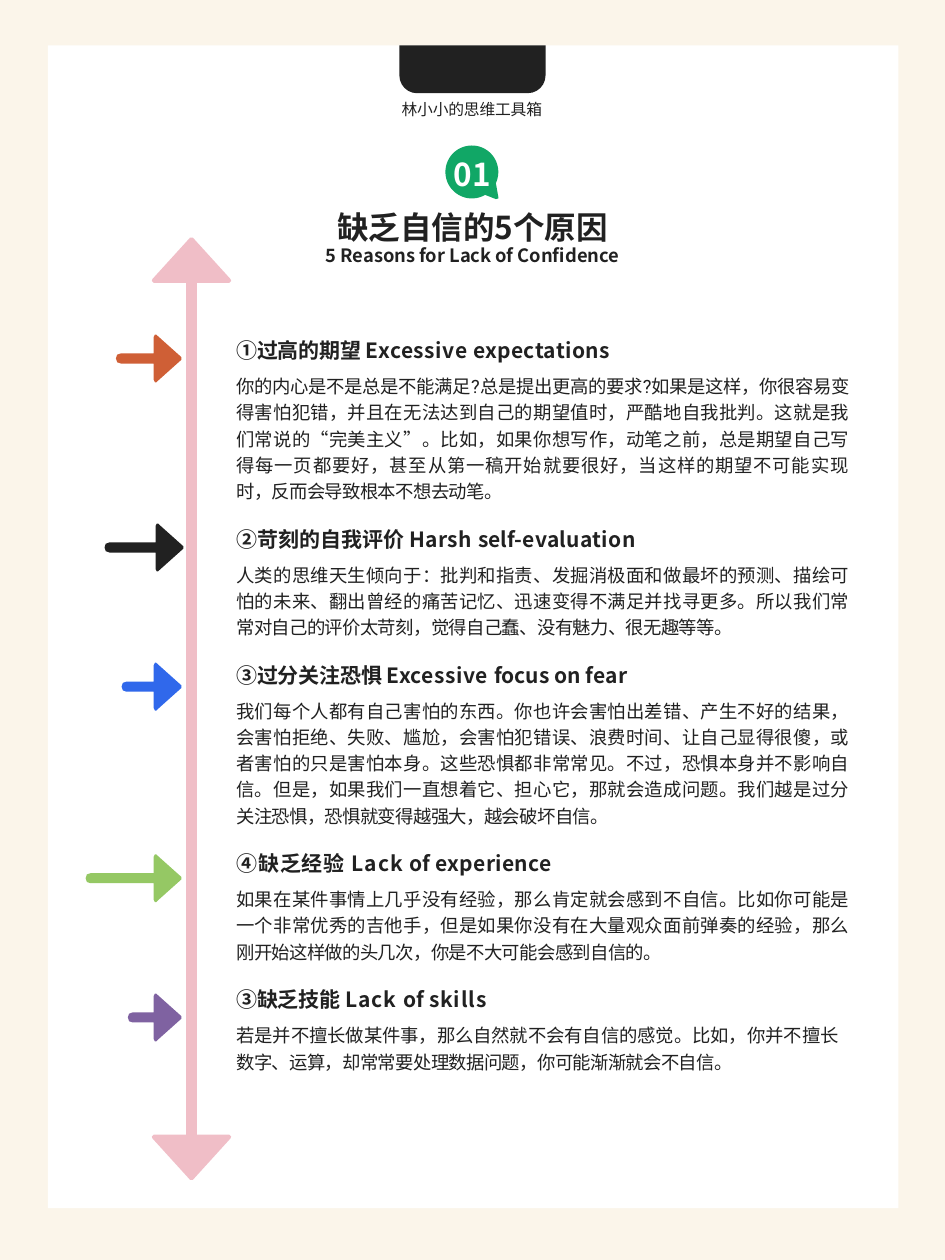
from dataclasses import dataclass
from math import cos, radians, sin

from lxml import etree
from pptx import Presentation
from pptx.dml.color import RGBColor
from pptx.enum.shapes import MSO_CONNECTOR, MSO_SHAPE
from pptx.enum.text import MSO_ANCHOR, MSO_AUTO_SIZE, PP_ALIGN
from pptx.oxml.ns import qn
from pptx.util import Inches, Pt

RECT = MSO_SHAPE.RECTANGLE
TAB = MSO_SHAPE.ROUND_2_SAME_RECTANGLE
STRAIGHT = MSO_CONNECTOR.STRAIGHT
TOP = MSO_ANCHOR.TOP
FIXED = MSO_AUTO_SIZE.NONE
LEFT, CENTER, FULL = PP_ALIGN.LEFT, PP_ALIGN.CENTER, PP_ALIGN.JUSTIFY

WIDTH, HEIGHT = Inches(7.5), Inches(10)
COLS, ROWS = 75, 100
CELL = WIDTH / COLS


@dataclass(frozen=True)
class Theme:
    """Colours, fonts and type sizes of the page."""
    cream: str = "FBF5EA"
    white: str = "FFFFFF"
    ink: str = "212121"
    pink: str = "F0BEC7"
    green: str = "11A766"
    bold: str = "Noto Sans CJK SC"
    plain: str = "Roboto"
    title: float = 18
    head: float = 12
    body: float = 10.5
    label: float = 9


THEME = Theme()

ARROWS = [
    (9.2, 14.4, 28.45, "CF5F36"),
    (8.3, 14.55, 43.45, THEME.ink),
    (9.65, 14.4, 54.5, "3068EB"),
    (6.8, 14.4, 69.7, "95C864"),
    (10.15, 14.4, 80.75, "7F62A1"),
]

REASONS = [
    ([("①过高的期望 ", -0.1), ("Excessive ", 0.3), ("expectations", 0.2)],
     [("你的内心是不是总是不能满足", -0.3), ("?", -0.8), ("总是提出更高的要求", -0.3),
      ("?", -0.8), ("如果是这样，你很容易变", -0.3),
      ("得害怕犯错，并且在无法达到自己的期望值时，严酷地自我批判。这就是我们常说的“完美主义”。"
       "比如，如果你想写作，动笔之前，总是期望自己写", 0),
      ("得每一页都要好，甚至从第一稿开始就要很好，当这样的期望不可能实现", 0.3),
      ("时，反而会导致根本不想去动笔。", -0.3)], FULL),
    ([("②苛刻的自我评价 ", 0), ("Harsh ", 0.3), ("self-", 0), ("evaluation", 0.2)],
     [("人类的思维天生倾向于：批判和指责、发掘消极面和做最坏的预测、描绘可怕的未来、"
       "翻出曾经的痛苦记忆、迅速变得不满足并找寻更多。所以我们常", 0),
      ("常对自己的评价太苛刻，觉得自己蠢、没有魅力、很无趣等等。", -0.3)], FULL),
    ([("③过分关注恐惧 ", -0.1), ("Excessive ", 0.3), ("focus on ", 0), ("fear", 0.2)],
     [("我们每个人都有自己害怕的东西。你也许会害怕出差错、产生不好的结果，会害怕拒绝、失败、尴尬，"
       "会害怕犯错误、浪费时间、让自己显得很傻，或者害怕的只是害怕本身。这些恐惧都非常常见。"
       "不过，恐惧本身并不影响自信。但是，如果我们一直想着它、担心它，那就会造成问题。我们越是过分", 0),
      ("关注恐惧，恐惧就变得越强大，越会破坏自信。", -0.3)], FULL),
    ([("➃缺乏经验 ", 0.5), ("Lack ", 0.6), ("of ", 0), ("experience", 0.2)],
     [("如果在某件事情上几乎没有经验，那么肯定就会感到不自信。比如你可能是一个非常优秀的吉他手，"
       "但是如果你没有在大量观众面前弹奏的经验，那么", 0),
      ("刚开始这样做的头几次，你是不大可能会感到自信的。", -0.3)], FULL),
    ([("③缺乏技能 ", -0.1), ("Lack ", 0.6), ("of ", 0), ("skills", 0.5)],
     [("若是并不擅长做某件事，那么自然就不会有自信的感觉。比如，你并不", 0), ("擅长", -0.1),
      ("数字、运算，却常常要处理数据问题，你可能渐渐就会不自信。", -0.3)], LEFT),
]


def grid(*cells):
    """Turn grid cells into slide lengths."""
    return [round(cell * CELL) for cell in cells]


def paint(shape, color):
    """Give a shape one flat colour."""
    shape.shadow.inherit = False
    shape.fill.solid()
    shape.fill.fore_color.rgb = RGBColor.from_string(color)
    shape.line.fill.background()


def panel(slide, kind, box, color):
    """Add a flat preset shape."""
    shape = slide.shapes.add_shape(kind, *grid(*box))
    paint(shape, color)
    return shape


def outline(shapes, paths, color):
    """Add a closed outline made of one or more paths."""
    paths = [[grid(*point) for point in path] for path in paths]
    maker = shapes.build_freeform(*paths[0][0], scale=1.0)
    maker.add_line_segments(paths[0][1:], close=True)
    for path in paths[1:]:
        maker.move_to(*path[0])
        maker.add_line_segments(path[1:], close=True)
    paint(maker.convert_to_shape(), color)


def arrow(slide, tail, tip, mid, color):
    """Add a short arrow with rounded corners that points right."""
    half = [(tip, 0.1), (tip - 1.9, 1.8), (tip - 2, 1.9), (tip - 2.1, 1.9),
            (tip - 2.2, 1.7), (tip - 2.2, 0.4), (tail + 0.4, 0.4),
            (tail + 0.1, 0.3), (tail, 0)]
    path = [(x, mid - y) for x, y in half]
    path += [(x, mid + y) for x, y in reversed(half[:-1])]
    outline(slide.shapes, [path], color)


def axis(slide, mid, top, low):
    """Add the tall arrow with a head at both ends."""
    half = [(0.1, 0), (3.1, 3.3), (3.15, 3.45), (3, 3.6)]
    heads = []
    for tip, way in ((low, -1), (top, 1)):
        head = [(mid + x, tip + way * y) for x, y in half]
        head += [(mid - x, tip + way * y) for x, y in reversed(half)]
        heads.append(head)
    group = slide.shapes.add_group_shape()
    outline(group.shapes, heads, THEME.pink)
    shaft = group.shapes.add_connector(STRAIGHT, *grid(mid, top + 3.5, mid, low - 2.6))
    shaft.line.color.rgb = RGBColor.from_string(THEME.pink)
    shaft.line.width = Pt(6)
    etree.SubElement(shaft.element.spPr, qn("a:effectLst"))


def bubble(slide, x, y, size):
    """Add a round speech bubble with a tail at the lower right."""
    turns = [radians(step) for step in range(60, 386, 5)]
    path = [(x + size * cos(turn), y + size * sin(turn)) for turn in turns]
    path += [(x + 2.1, y + 2), (x + 2.1, y + 2.1), (x + 1.9, y + 2.15)]
    outline(slide.shapes, [path], THEME.green)


def place(slide, shape, box):
    """Put a text shape on the grid, in front, without insets."""
    shape.left, shape.top, shape.width, shape.height = grid(*box)
    slide.shapes.element.append(shape.element)
    frame = shape.text_frame
    frame.word_wrap = True
    frame.auto_size = FIXED
    frame.vertical_anchor = TOP
    frame.margin_left = frame.margin_right = frame.margin_top = frame.margin_bottom = 0
    return frame


def write(frame, parts, size, font=THEME.bold, bold=True, color=THEME.ink,
          align=LEFT, pitch=1.0, before=0):
    """Write one paragraph from pieces of text and their letter spacing."""
    para = frame.paragraphs[0] if not frame.text else frame.add_paragraph()
    props = para._p.get_or_add_pPr()
    props.set("marL", "0")
    props.set("indent", "0")
    etree.SubElement(props, qn("a:buNone"))
    para.alignment, para.line_spacing = align, pitch
    para.space_before, para.space_after = Pt(before), Pt(0)
    for text, gap in parts:
        run = para.add_run()
        run.text = text
        run.font.size, run.font.bold, run.font.name = Pt(size), bold, font
        run.font.color.rgb = RGBColor.from_string(color)
        mark = run.font._element
        mark.set("spc", str(round(gap * 100)))
        etree.SubElement(mark, qn("a:ea")).set("typeface", THEME.bold)


def main():
    """Build the page and save it."""
    deck = Presentation()
    deck.slide_width, deck.slide_height = WIDTH, HEIGHT
    slide = deck.slides.add_slide(deck.slide_layouts[1])
    title, body = slide.placeholders

    panel(slide, RECT, (0, 0, COLS, ROWS), THEME.cream)
    panel(slide, RECT, (3.8, 3.6, 67.5, 92.3), THEME.white)
    tab = panel(slide, TAB, (31.7, 3.6, 11.6, 3.8), THEME.ink)
    tab.adjustments[0], tab.adjustments[1] = 0, 0.37
    axis(slide, 15.2, 18.85, 93.65)
    for row in ARROWS:
        arrow(slide, *row)
    bubble(slide, 37.45, 13.65, 2.1)

    frame = place(slide, title, (24.55, 12.27, 25.9, 9))
    write(frame, [("01", 0)], THEME.title, color=THEME.white, align=CENTER)
    write(frame, [("缺乏自信的5个原因", 0)], THEME.title, align=CENTER,
          pitch=Pt(20.6), before=9.9)
    write(frame, [("5 Reasons for Lack of Confidence", 0)], THEME.body,
          align=CENTER, pitch=Pt(11.6))

    frame = place(slide, body, (18.76, 26.82, 48.72, 58.8))
    for index, (head, text, align) in enumerate(REASONS):
        write(frame, head, THEME.head, before=13.75 if index else 0)
        write(frame, text, THEME.body, THEME.plain, False, align=align,
              pitch=Pt(15), before=4.6)

    box = (31.88, 7.93, 11.6, 1.6)
    frame = place(slide, slide.shapes.add_textbox(*grid(*box)), box)
    write(frame, [("林小小的思维工具箱", -0.1)], THEME.label, bold=False)
    deck.save("out.pptx")


if __name__ == "__main__":
    main()
